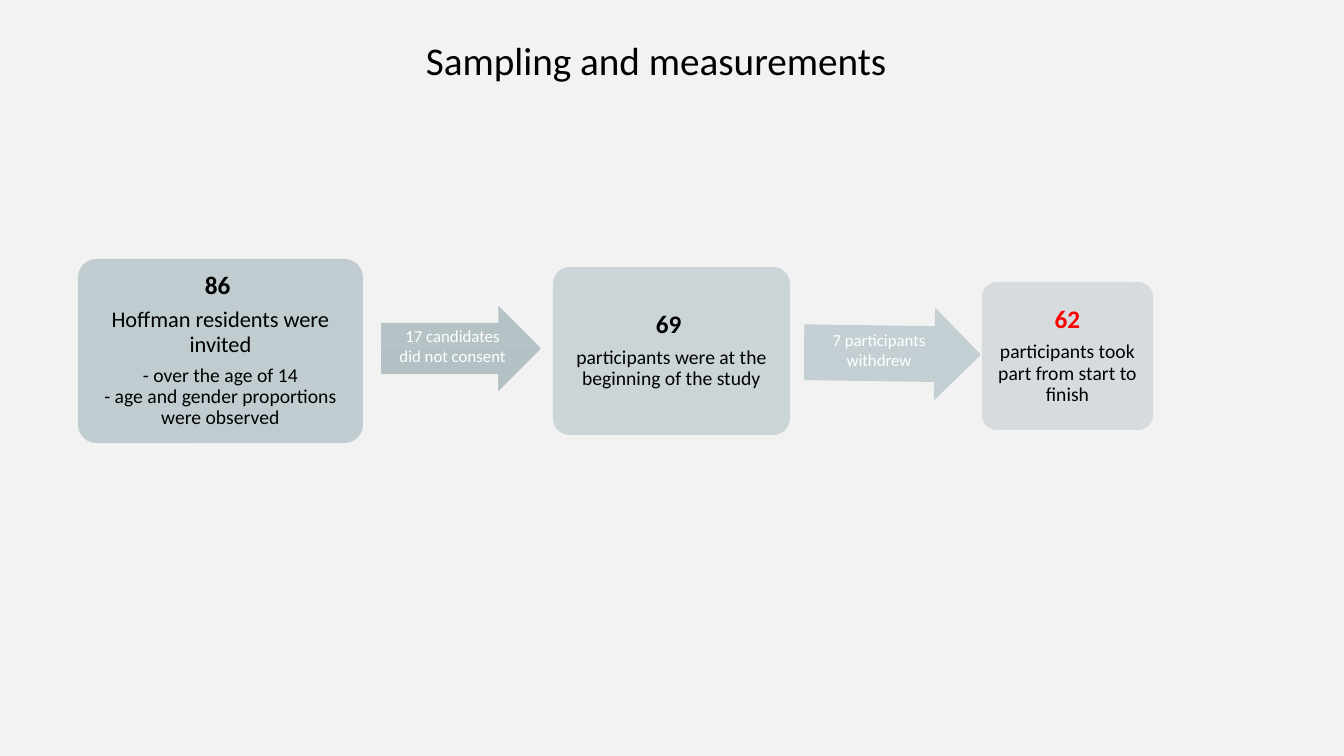
from pptx import Presentation
from pptx.dml.color import RGBColor
from pptx.enum.shapes import MSO_SHAPE
from pptx.enum.text import MSO_ANCHOR, PP_ALIGN
from pptx.oxml.ns import qn
from pptx.util import Pt
from lxml.etree import SubElement

PX = 914400 / 100.8
FONT = "Calibri"
PALE = RGBColor(0xF2, 0xF2, 0xF2)
BLACK = RGBColor(0, 0, 0)
WHITE = RGBColor(0xFF, 0xFF, 0xFF)
RED = RGBColor(0xFF, 0, 0)
CARD = RGBColor(0xBB, 0xC8, 0xCC), RGBColor(0xB8, 0xC6, 0xCB)
DARK = RGBColor(0xB6, 0xC3, 0xC6), RGBColor(0xB3, 0xC1, 0xC5)
LIGHT = RGBColor(0xC3, 0xCF, 0xD3), RGBColor(0xC3, 0xCF, 0xD3)


def emu(*px):
    return [round(n * PX) for n in px]


def write(frame, lines, wrap=True):
    frame.word_wrap = wrap
    frame.text = "\n".join(line[0] for line in lines)
    for para, (text, size, color, bold) in zip(frame.paragraphs, lines):
        para.alignment = PP_ALIGN.CENTER
        font = para.runs[0].font
        font.name, font.size, font.bold = FONT, Pt(size), bold
        font.color.rgb = color


def block(slide, kind, box, colors, alpha=100):
    shape = slide.shapes.add_shape(kind, *emu(*box))
    shape.shadow.inherit = False
    shape.line.fill.background()
    shape.fill.gradient()
    shape.fill.gradient_angle = 270
    for stop, color in zip(shape.fill.gradient_stops, colors):
        stop.color.rgb = color
    for node in shape.fill._xPr.iter(qn("a:srgbClr")):
        SubElement(node, qn("a:alpha")).set("val", str(alpha * 1000))
    return shape


def label(slide, box, lines, wrap=False):
    text = slide.shapes.add_textbox(*emu(*box))
    write(text.text_frame, lines, wrap)


def card(slide, box, alpha, lines, tight=()):
    shape = block(slide, MSO_SHAPE.ROUNDED_RECTANGLE, box, CARD, alpha)
    shape.adjustments[0] = 0.1
    frame = shape.text_frame
    frame.vertical_anchor = MSO_ANCHOR.MIDDLE
    pad = emu(7)[0]
    frame.margin_left = frame.margin_right = pad
    frame.margin_top = frame.margin_bottom = pad
    write(frame, lines)
    for spot, para in enumerate(frame.paragraphs):
        para.line_spacing = 0.9
        para.space_after = Pt(0 if spot in tight else 6)


def arrow(slide, box, colors, note, lines, turn=0):
    shape = block(slide, MSO_SHAPE.RIGHT_ARROW, box, colors)
    shape.adjustments[0] = 0.6
    shape.adjustments[1] = 0.5
    shape.rotation = turn
    x, y, w, h = note
    label(slide, (box[0] + x, box[1] + y, w, h),
          [(line, 12, WHITE, False) for line in lines])


deck = Presentation()
deck.slide_width, deck.slide_height = emu(1344, 756)
slide = deck.slides.add_slide(deck.slide_layouts[6])
slide.background.fill.solid()
slide.background.fill.fore_color.rgb = PALE

card(slide, (78, 259, 285, 184), 90, [
    ("86 ", 18, BLACK, True),
    ("Hoffman residents were invited", 16, BLACK, False),
    ("- over the age of 14", 14, BLACK, False),
    ("- age and gender proportions were observed", 14, BLACK, False),
], tight=(2,))
arrow(slide, (381, 306, 160, 85), DARK, (7, 15, 133, 50),
      ["17 candidates ", "did not consent "])
card(slide, (553, 267, 237, 168), 70, [
    ("69 ", 18, BLACK, True),
    ("participants were at the beginning of the study", 14, BLACK, False),
])
arrow(slide, (804, 307, 177, 93), LIGHT, (18, 18, 118, 50),
      ["7 participants ", "withdrew "], turn=0.8)
card(slide, (982, 282, 171, 148), 50, [
    ("62", 18, RED, True),
    ("participants took part from start to finish", 14, BLACK, False),
])
label(slide, (256, 31, 809, 57),
      [("Sampling and measurements ", 28, BLACK, False)], wrap=True)

deck.save("out.pptx")
